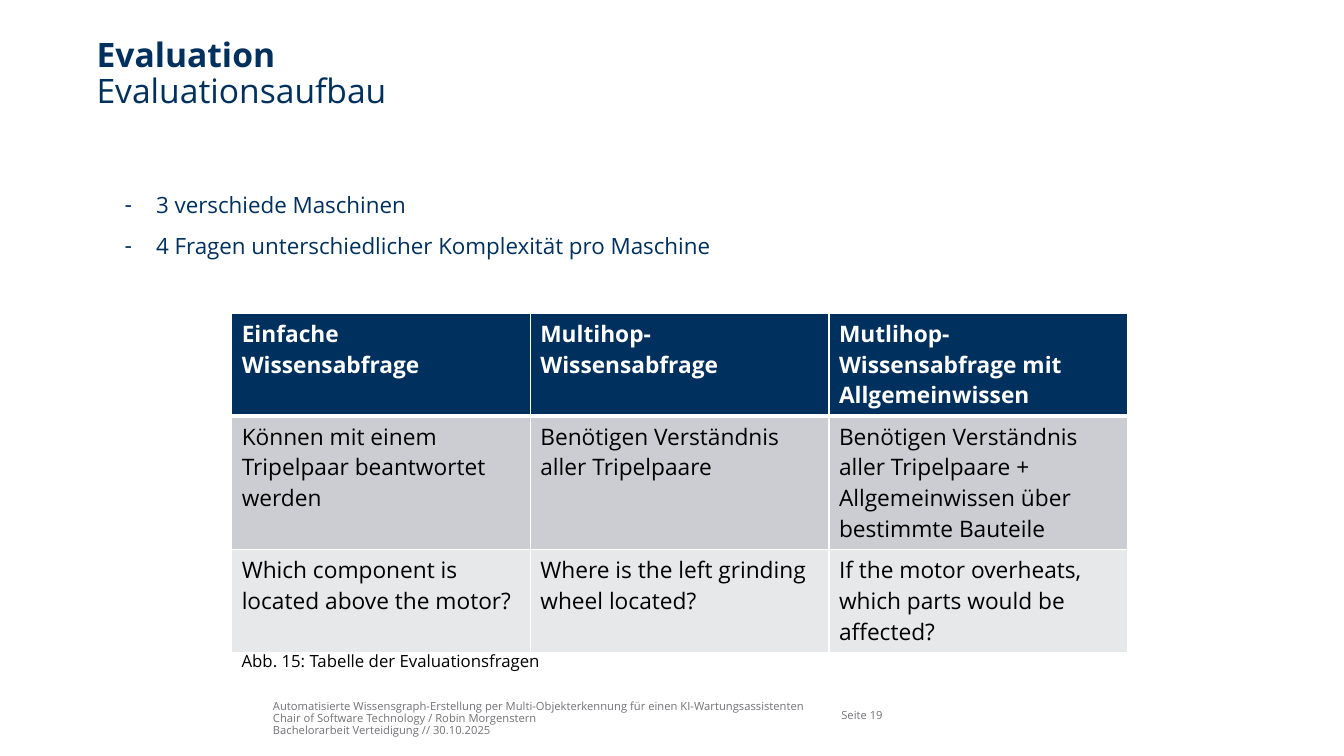
from lxml import etree
from pptx import Presentation
from pptx import util as u
from pptx.dml.color import RGBColor
from pptx.enum import text
from pptx.oxml import ns

NAVY = RGBColor(0x00, 0x30, 0x5D)
GREY = RGBColor(0x72, 0x72, 0x77)
BLACK = RGBColor(0x00, 0x00, 0x00)
WHITE = RGBColor(0xFF, 0xFF, 0xFF)
BAND_DARK = RGBColor(0xCC, 0xCD, 0xD2)
BAND_LIGHT = RGBColor(0xE7, 0xE8, 0xEA)


class SlideBuilder:
    """Holds the font and the current slide."""

    def __init__(self, slide, font_name="Open Sans"):
        self.slide = slide
        self.font_name = font_name

    def style(self, paragraph, size, color, bold=False, spacing=1.0):
        paragraph.alignment = text.PP_ALIGN.LEFT
        paragraph.line_spacing = spacing
        font = paragraph.font
        font.name, font.size, font.bold = self.font_name, u.Pt(size), bold
        font.color.rgb = color

    def place(self, shape, left, top, width, height):
        shape.left, shape.top = u.Pt(left), u.Pt(top)
        shape.width, shape.height = u.Pt(width), u.Pt(height)

    def frame(self, shape, anchor, inset_x=0, inset_y=0):
        frame = shape.text_frame
        frame.word_wrap = True
        frame.auto_size = text.MSO_AUTO_SIZE.NONE
        frame.vertical_anchor = anchor
        frame.margin_left = frame.margin_right = u.Pt(inset_x)
        frame.margin_top = frame.margin_bottom = u.Pt(inset_y)
        return frame

    def title(self, box, heading, subheading):
        shape = self.slide.shapes.title
        self.place(shape, *box)
        paragraph = self.frame(shape, text.MSO_ANCHOR.TOP).paragraphs[0]
        self.style(paragraph, 24, NAVY, spacing=0.9)
        run = paragraph.add_run()
        run.text, run.font.bold = heading, True
        paragraph.add_line_break()
        paragraph.add_run().text = subheading

    def dash_list(self, box, items):
        shape = self.slide.placeholders[1]
        self.place(shape, *box)
        frame = self.frame(shape, text.MSO_ANCHOR.TOP)
        for index, item in enumerate(items):
            paragraph = frame.add_paragraph() if index else frame.paragraphs[0]
            paragraph.text, paragraph.level = item, 1
            paragraph.space_before = u.Pt(12 if index else 0)
            properties = paragraph._p.get_or_add_pPr()
            properties.set("marL", str(u.Pt(42.5)))
            properties.set("indent", str(u.Pt(-22.5)))
            etree.SubElement(properties, ns.qn("a:buChar"), char="-")
            self.style(paragraph, 16, NAVY, spacing=0.9)

    def label(self, box, content, size, color, anchor, insets=(0, 0), spacing=1.0):
        shape = self.slide.shapes.add_textbox(*map(u.Pt, box))
        paragraph = self.frame(shape, anchor, *insets).paragraphs[0]
        paragraph.text = content
        self.style(paragraph, size, color, spacing=spacing)

    def border(self, cell, side, width):
        line = etree.SubElement(cell._tc.get_or_add_tcPr(), ns.qn("a:ln" + side),
                                w=str(u.Pt(width)))
        fill = etree.SubElement(line, ns.qn("a:solidFill"))
        etree.SubElement(fill, ns.qn("a:srgbClr"), val=str(WHITE))

    def table(self, left, top, width, heights, rows, fills):
        columns = len(rows[0])
        table = self.slide.shapes.add_table(
            len(rows), columns, u.Pt(left), u.Pt(top), u.Pt(width), u.Pt(sum(heights))).table
        for i, row in enumerate(rows):
            table.rows[i].height = u.Pt(heights[i])
            for j, content in enumerate(row):
                cell = table.cell(i, j)
                # A thicker rule separates the header from the body
                widths = {"L": 1, "R": 1, "T": 3 if i == 1 else 1, "B": 3 if i == 0 else 1}
                for side, line_width in widths.items():
                    self.border(cell, side, line_width)
                cell.fill.solid()
                cell.fill.fore_color.rgb = fills[i]
                paragraph = cell.text_frame.paragraphs[0]
                paragraph.text = content
                self.style(paragraph, 16.2, BLACK if i else WHITE, bold=i == 0)


def main():
    presentation = Presentation()
    presentation.slide_width, presentation.slide_height = u.Pt(960), u.Pt(540)
    builder = SlideBuilder(presentation.slides.add_slide(presentation.slide_layouts[1]))

    # Title and list
    builder.title((69, 27.5, 833, 54), "Evaluation", "Evaluationsaufbau")
    builder.dash_list((69, 139, 833, 320), [
        "3 verschiede Maschinen",
        "4 Fragen unterschiedlicher Komplexität pro Maschine",
    ])

    # Question table with caption
    builder.table(165.5, 223.5, 640, (73.5, 94.5, 73.5), [
        ("Einfache Wissensabfrage", "Multihop-Wissensabfrage",
         "Mutlihop-Wissensabfrage mit Allgemeinwissen"),
        ("Können mit einem Tripelpaar beantwortet werden",
         "Benötigen Verständnis aller Tripelpaare",
         "Benötigen Verständnis aller Tripelpaare + Allgemeinwissen über bestimmte Bauteile"),
        ("Which component is located above the motor?",
         "Where is the left grinding wheel located?",
         "If the motor overheats, which parts would be affected?"),
    ], (NAVY, BAND_DARK, BAND_LIGHT))
    builder.label((165.5, 461, 480, 22), "Abb. 15: Tabelle der Evaluationsfragen",
                  12, BLACK, text.MSO_ANCHOR.TOP, insets=(7.2, 3.6))

    # Footer
    footer = "\v".join((
        "Automatisierte Wissensgraph-Erstellung per Multi-Objekterkennung "
        "für einen KI-Wartungsassistenten",
        "Chair of Software Technology / Robin Morgenstern",
        "Bachelorarbeit Verteidigung // 30.10.2025",
    ))
    for box, content in (((195, 497.5, 384, 29), footer), ((601, 497, 55.5, 19), "Seite 19")):
        builder.label(box, content, 8, GREY, text.MSO_ANCHOR.BOTTOM, spacing=0.9)

    presentation.save("out.pptx")


if __name__ == "__main__":
    main()
